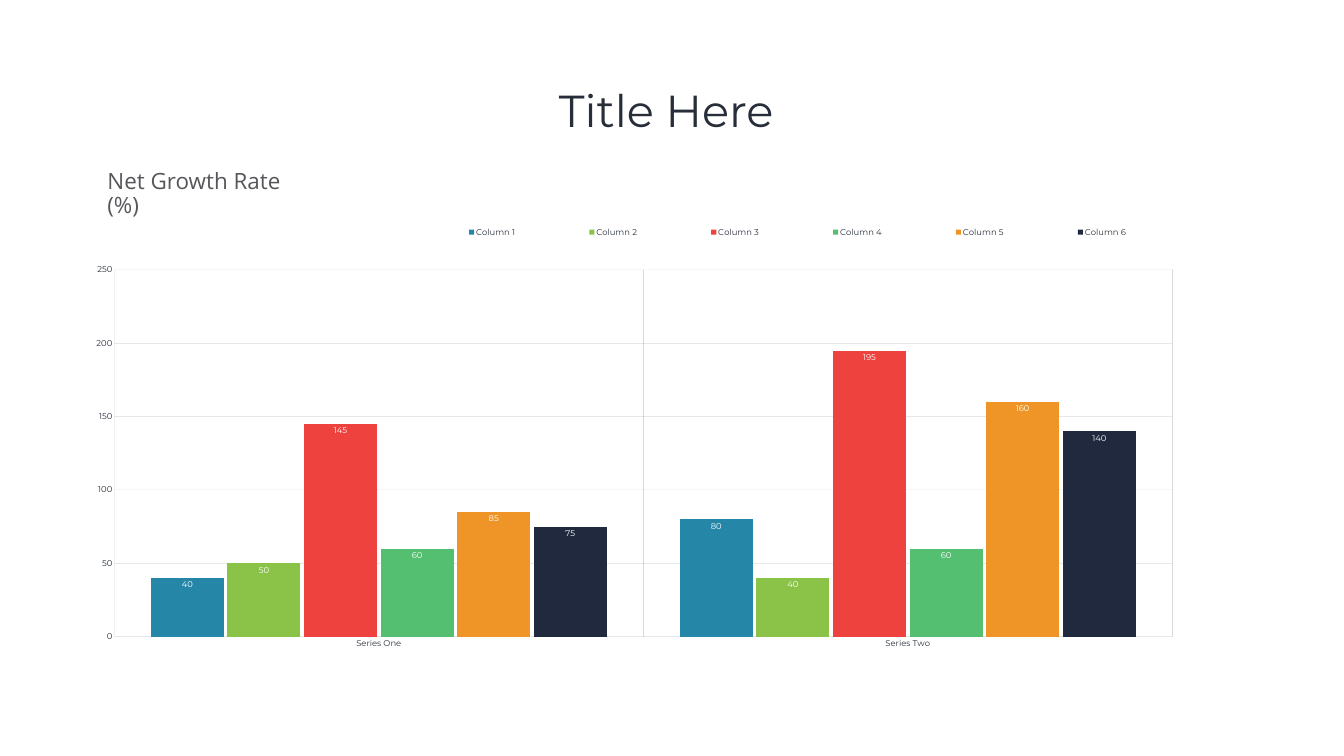
from dataclasses import dataclass

from lxml import etree
from pptx import Presentation
from pptx.chart.data import CategoryChartData
from pptx.dml.color import RGBColor
from pptx.enum.chart import (XL_CHART_TYPE, XL_LABEL_POSITION,
                             XL_LEGEND_POSITION, XL_TICK_MARK)
from pptx.enum.text import MSO_ANCHOR, PP_ALIGN
from pptx.oxml import parse_xml
from pptx.oxml.ns import nsdecls, qn
from pptx.util import Pt

CLUSTERED = XL_CHART_TYPE.COLUMN_CLUSTERED
INSIDE_END = XL_LABEL_POSITION.INSIDE_END
LEGEND_BOTTOM = XL_LEGEND_POSITION.BOTTOM
NO_TICK = XL_TICK_MARK.NONE
CENTER, LEFT = PP_ALIGN.CENTER, PP_ALIGN.LEFT
MIDDLE, TOP = MSO_ANCHOR.MIDDLE, MSO_ANCHOR.TOP


@dataclass(frozen=True)
class Theme:
    heading_font: str = "Montserrat"
    caption_font: str = "Open Sans"
    title_size: int = 64
    caption_size: int = 32
    chart_size: int = 12
    dark: str = "272E3A"
    gray: str = "57565A"
    white: str = "FFFFFF"
    category_grid: str = "1D222B"
    value_grid: str = "6B7D9B"
    grid_width: float = 0.25
    grid_alpha: int = 50


THEME = Theme()

CATEGORIES = ["Series One", "Series Two"]
COLUMNS = [
    ("2686A7", (40, 80)),
    ("8BC248", (50, 40)),
    ("ED423D", (145, 195)),
    ("54BE71", (60, 60)),
    ("EF9527", (85, 160)),
    ("20293E", (75, 140)),
]
# Left, top, width and height as fractions of the chart
PLOT_LAYOUT = (0.052, 0.126, 0.926, 0.719)
LEGEND_LAYOUT = (0.3, 0.027, 0.7, 0.05)


def set_attributes(target, values):
    for name, value in values.items():
        setattr(target, name, value)


def style_font(font, name, size, color):
    set_attributes(font, {"name": name, "size": Pt(size), "bold": False})
    font.color.rgb = RGBColor.from_string(color)


def add_text(slide, text, box, font, alignment, anchor, margins):
    shape = slide.shapes.add_textbox(*map(Pt, box))
    horizontal, vertical = map(Pt, margins)
    set_attributes(shape.text_frame, {
        "word_wrap": True, "vertical_anchor": anchor,
        "margin_left": horizontal, "margin_right": horizontal,
        "margin_top": vertical, "margin_bottom": vertical,
    })
    paragraph = shape.text_frame.paragraphs[0]
    set_attributes(paragraph, {"alignment": alignment, "line_spacing": 0.9})
    run = paragraph.add_run()
    run.text = text
    style_font(run.font, *font)


def set_layout(parent, fractions, successors, inner=False):
    """Give a plot area or legend a fixed place in the chart."""
    for old in parent.findall(qn("c:layout")):
        parent.remove(old)
    layout = parse_xml(f"<c:layout {nsdecls('c')}><c:manualLayout/></c:layout>")
    values = [("layoutTarget", "inner")] if inner else []
    values += [("xMode", "edge"), ("yMode", "edge")]
    values += zip("xywh", fractions)
    for tag, value in values:
        etree.SubElement(layout[0], qn(f"c:{tag}")).set("val", str(value))
    following = next(child for child in parent
                     if child.tag in [qn(f"c:{tag}") for tag in successors])
    following.addprevious(layout)


def style_axis(axis, grid_color):
    set_attributes(axis, {
        "has_major_gridlines": True,
        "major_tick_mark": NO_TICK, "minor_tick_mark": NO_TICK,
    })
    axis.format.line.fill.background()
    style_font(axis.tick_labels.font, THEME.heading_font,
               THEME.chart_size, THEME.dark)
    line = axis.major_gridlines.format.line
    line.width = Pt(THEME.grid_width)
    line.color.rgb = RGBColor.from_string(grid_color)
    # Translucent grid lines
    gridlines = axis.major_gridlines._xAx.find(qn("c:majorGridlines"))
    color = next(gridlines.iter(qn("a:srgbClr")))
    etree.SubElement(color, qn("a:alpha")).set(
        "val", str(THEME.grid_alpha * 1000))


def style_series(series, color):
    series.format.fill.solid()
    series.format.fill.fore_color.rgb = RGBColor.from_string(color)
    series.format.line.fill.background()
    labels = series.data_labels
    set_attributes(labels, {"show_value": True, "position": INSIDE_END})
    style_font(labels.font, THEME.heading_font, THEME.chart_size, THEME.white)


def add_growth_chart(slide, box):
    data = CategoryChartData()
    data.categories = CATEGORIES
    for number, (_, values) in enumerate(COLUMNS, start=1):
        data.add_series(f"Column {number}", values)
    chart = slide.shapes.add_chart(CLUSTERED, *map(Pt, box), data).chart
    set_attributes(chart, {"has_title": False, "has_legend": True})
    style_font(chart.font, THEME.heading_font, THEME.chart_size, THEME.dark)

    # Columns
    plot = chart.plots[0]
    set_attributes(plot, {"gap_width": 100, "overlap": -5,
                          "vary_by_categories": False})
    for series, (color, _) in zip(plot.series, COLUMNS):
        style_series(series, color)

    # Axes
    style_axis(chart.category_axis, THEME.category_grid)
    style_axis(chart.value_axis, THEME.value_grid)
    set_attributes(chart.value_axis, {
        "minimum_scale": 0, "maximum_scale": 250, "major_unit": 50})

    # Legend and plot area
    legend = chart.legend
    set_attributes(legend, {"position": LEGEND_BOTTOM,
                            "include_in_layout": False})
    style_font(legend.font, THEME.heading_font, THEME.chart_size, THEME.dark)
    set_layout(legend._element, LEGEND_LAYOUT, ["overlay", "spPr", "txPr"])
    plot_area = chart._chartSpace.chart.plotArea
    set_layout(plot_area, PLOT_LAYOUT, ["barChart"], inner=True)


def main():
    presentation = Presentation()
    set_attributes(presentation, {"slide_width": Pt(1920),
                                  "slide_height": Pt(1080)})
    slide = presentation.slides.add_slide(presentation.slide_layouts[6])

    # Title, chart and chart caption
    add_text(slide, "Title Here ", (132, 57.6, 1656, 208.8),
             (THEME.heading_font, THEME.title_size, THEME.dark),
             CENTER, MIDDLE, (7.2, 3.6))
    add_growth_chart(slide, (78.5, 293.8, 1632.2, 728.6))
    add_text(slide, "Net Growth Rate (%)", (153.4, 243.4, 293, 38.9),
             (THEME.caption_font, THEME.caption_size, THEME.gray),
             LEFT, TOP, (0, 0))
    presentation.save("out.pptx")


if __name__ == "__main__":
    main()
